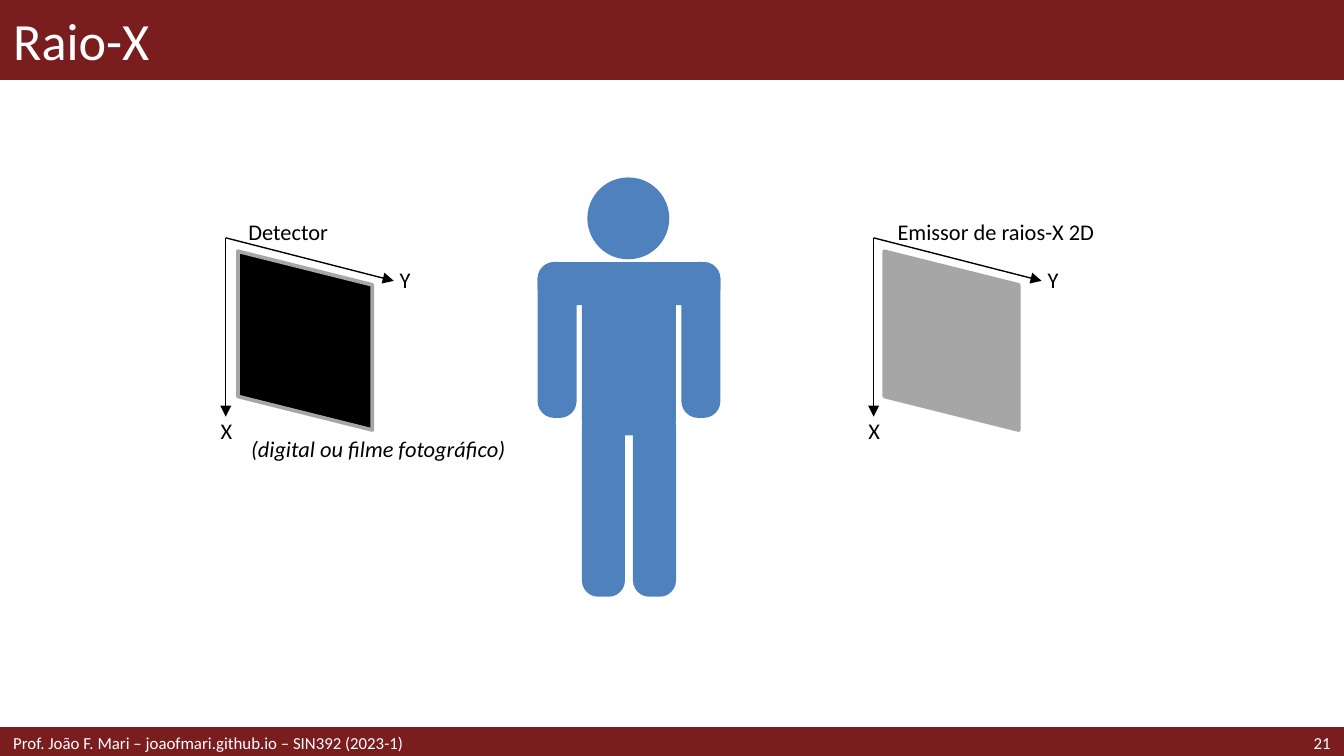
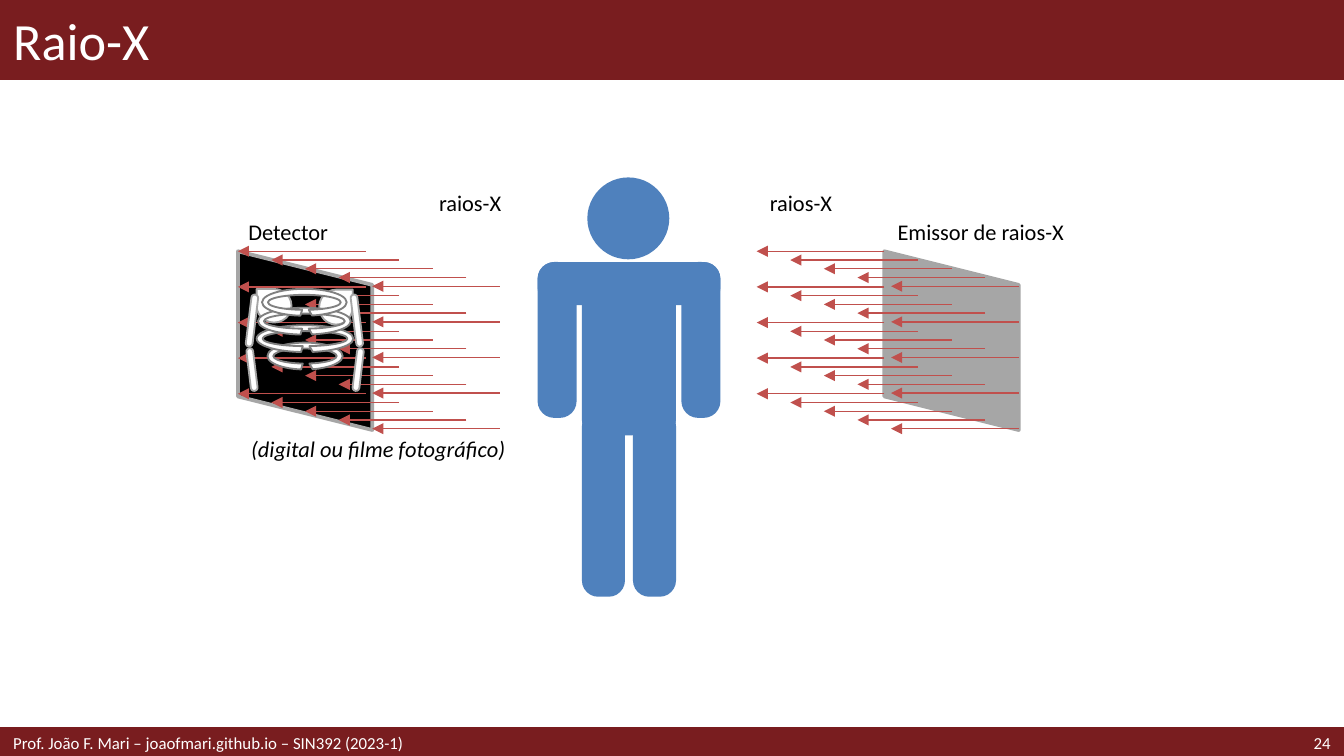
from pptx import Presentation
from pptx.dml.color import RGBColor
from pptx.enum.shapes import MSO_CONNECTOR, MSO_SHAPE
from pptx.enum.text import MSO_ANCHOR, MSO_AUTO_SIZE, PP_ALIGN
from pptx.oxml.xmlchemy import OxmlElement
from pptx.util import Inches, Pt

COLORS = {
    "band": "791D1F",
    "body": "4F81BD",
    "plate": "A6A6A6",
    "rib": "808080",
    "ray": "C0504D",
    "black": "000000",
    "white": "FFFFFF",
}
FONT = "Calibri"
FOOTER = "Prof. João F. Mari – joaofmari.github.io – SIN392 (2023-1)"
WIDTH, HEIGHT = 10, 10 * 9 / 16
TITLE_HEIGHT = 0.59
FOOTER_TOP, FOOTER_HEIGHT = 5.42, 0.21
DETECTOR_LEFT, EMITTER_LEFT = 1.77, 6.58
PLATE_TOP, PLATE_WIDTH, PLATE_HEIGHT = 1.87, 1, 1.33


def color(name):
    return RGBColor.from_string(COLORS[name])


def add_text(shapes, text, left, top, width, height=0.21, size=12, ink="black",
             italic=False, align=PP_ALIGN.LEFT, inset=0.1, band=False):
    box = shapes.add_textbox(Inches(left), Inches(top), Inches(width), Inches(height))
    frame = box.text_frame
    frame.word_wrap = True
    frame.margin_left = Inches(inset)
    frame.margin_right = Inches(inset if band else 0)
    frame.margin_top = frame.margin_bottom = 0
    if band:
        frame.vertical_anchor = MSO_ANCHOR.MIDDLE
    else:
        frame.auto_size = MSO_AUTO_SIZE.SHAPE_TO_FIT_TEXT
    para = frame.paragraphs[0]
    para.alignment = align
    span = para.add_run()
    span.text = text
    span.font.name = FONT
    span.font.size = Pt(size)
    span.font.italic = italic
    span.font.color.rgb = color(ink)


def add_figure(shapes, kind, left, top, width, height, fill, line=None, weight=1,
               rotation=0, adjust=(), mirrored=False):
    shape = shapes.add_shape(kind, Inches(left), Inches(top), Inches(width), Inches(height))
    shape.shadow.inherit = False
    shape.rotation = rotation
    for index, value in enumerate(adjust):
        shape.adjustments[index] = value
    if mirrored:
        shape.element.spPr.xfrm.set("flipH", "1")
    shape.fill.solid()
    shape.fill.fore_color.rgb = color(fill)
    if line:
        shape.line.color.rgb = color(line)
        shape.line.width = Pt(weight)
        shape.line._get_or_add_ln().append(OxmlElement("a:round"))
    else:
        shape.line.fill.background()


def add_arrow(shapes, start, end, ink):
    ends = [Inches(value) for value in (*start, *end)]
    arrow = shapes.add_connector(MSO_CONNECTOR.STRAIGHT, *ends)
    arrow.line.color.rgb = color(ink)
    arrow.line.width = Pt(0.75)
    head = OxmlElement("a:tailEnd")
    head.set("type", "triangle")
    arrow.line._get_or_add_ln().append(head)
    arrow.element.spPr.append(OxmlElement("a:effectLst"))


def add_page(deck, title, number):
    page = deck.slides.add_slide(deck.slide_layouts[6])
    shapes = page.shapes
    for top, height, weight in ((0, TITLE_HEIGHT, 1), (FOOTER_TOP, FOOTER_HEIGHT, 2)):
        add_figure(shapes, MSO_SHAPE.RECTANGLE, 0, top, WIDTH, height,
                   "band", line="band", weight=weight)
    add_text(shapes, title, 0, 0, WIDTH, TITLE_HEIGHT, size=28, ink="white", band=True)
    add_text(shapes, str(number), 8.86, FOOTER_TOP, 1.14, FOOTER_HEIGHT, size=9,
             ink="white", align=PP_ALIGN.RIGHT, band=True)
    add_text(shapes, FOOTER, 0, FOOTER_TOP, 6.89, FOOTER_HEIGHT, size=9,
             ink="white", band=True)
    return shapes


def add_person(shapes):
    person = shapes.add_group_shape().shapes
    for left in (4, 5.07):
        add_figure(person, MSO_SHAPE.ROUNDED_RECTANGLE, left, 1.95, 0.29, 1.16,
                   "body", adjust=[0.43])
    add_figure(person, MSO_SHAPE.ROUNDED_RECTANGLE, 4.52, 1.43, 0.32, 1.36,
               "body", rotation=90, adjust=[0.39])
    add_figure(person, MSO_SHAPE.ROUNDED_RECTANGLE, 4.33, 1.95, 0.7, 1.29, "body")
    for left in (4.33, 4.71):
        add_figure(person, MSO_SHAPE.ROUNDED_RECTANGLE, left, 3.05, 0.32, 1.39,
                   "body", adjust=[0.38])
    add_figure(person, MSO_SHAPE.OVAL, 4.37, 1.32, 0.61, 0.61, "body")


def add_plate(shapes, left, fill):
    shift = (PLATE_HEIGHT - PLATE_WIDTH) / 2
    add_figure(shapes, MSO_SHAPE.PARALLELOGRAM, left - shift, PLATE_TOP + shift,
               PLATE_HEIGHT, PLATE_WIDTH, fill, line="plate", weight=2, rotation=90)


def add_axes(shapes, left):
    axes = shapes.add_group_shape().shapes
    origin = (left, 1.77)
    add_arrow(axes, origin, (left, 3.1), "black")
    add_arrow(axes, origin, (left + 1.25, 2.09), "black")
    for name, shift, top, width in (("X", -0.23, 3.1, 0.47), ("Y", 1.25, 1.98, 0.17)):
        add_text(axes, name, left + shift, top, width, align=PP_ALIGN.CENTER, inset=0)


def add_rays(shapes, left):
    for row in range(5):
        for column in range(5):
            tip = left + column * 0.25
            height = PLATE_TOP + row * 1.06 / 4 + column * 0.26 / 4
            add_arrow(shapes, (tip + 0.95, height), (tip, height), "ray")


def add_skeleton(shapes):
    for left, top, rotation in ((1.91, 2.15, 0), (2.37, 2.16, 90)):
        add_figure(shapes, MSO_SHAPE.TEAR, left, top, 0.26, 0.25, "white",
                   line="plate", rotation=rotation, mirrored=True)
    for left, top, width in ((1.99, 2.55, 0.56), (1.91, 2.42, 0.72),
                             (1.92, 2.29, 0.69), (1.95, 2.15, 0.63)):
        add_figure(shapes, MSO_SHAPE.BLOCK_ARC, left, top, width, 0.2, "white",
                   line="rib", adjust=[63.9, 35.89, 0.22])
    for left, top, height, rotation in ((1.85, 2.19, 0.39, 7), (1.85, 2.59, 0.32, 353),
                                        (2.64, 2.59, 0.32, 7), (2.63, 2.19, 0.39, 353)):
        add_figure(shapes, MSO_SHAPE.ROUNDED_RECTANGLE, left, top, 0.05, height, "white",
                   line="plate", rotation=rotation, adjust=[0.5])


def add_labels(shapes, emitter):
    add_text(shapes, emitter, EMITTER_LEFT, 1.62, 2.05)
    add_text(shapes, "Detector", 1.75, 1.62, 2.05)
    add_text(shapes, "(digital ou filme fotográfico)", 1.77, 3.24, 2.05, italic=True)


def build_setup(deck):
    shapes = add_page(deck, "Raio-X", 21)
    add_person(shapes)
    add_plate(shapes, EMITTER_LEFT, "plate")
    add_plate(shapes, DETECTOR_LEFT, "black")
    add_labels(shapes, "Emissor de raios-X 2D")
    for left in (6.5, 1.68):
        add_axes(shapes, left)


def build_exposure(deck):
    shapes = add_page(deck, "Raio-X", 24)
    add_person(shapes)
    emitter = shapes.add_group_shape().shapes
    add_plate(emitter, EMITTER_LEFT, "plate")
    add_rays(emitter, 5.63)
    detector = shapes.add_group_shape().shapes
    add_plate(detector, DETECTOR_LEFT, "black")
    add_rays(detector, DETECTOR_LEFT)
    add_skeleton(detector)
    add_labels(shapes, "Emissor de raios-X")
    for left, align in ((5.63, PP_ALIGN.LEFT), (2.87, PP_ALIGN.RIGHT)):
        add_text(shapes, "raios-X", left, 1.41, 0.86, align=align)


def main():
    deck = Presentation()
    deck.slide_width = Inches(WIDTH)
    deck.slide_height = Inches(HEIGHT)
    build_setup(deck)
    build_exposure(deck)
    deck.save("out.pptx")


if __name__ == "__main__":
    main()
